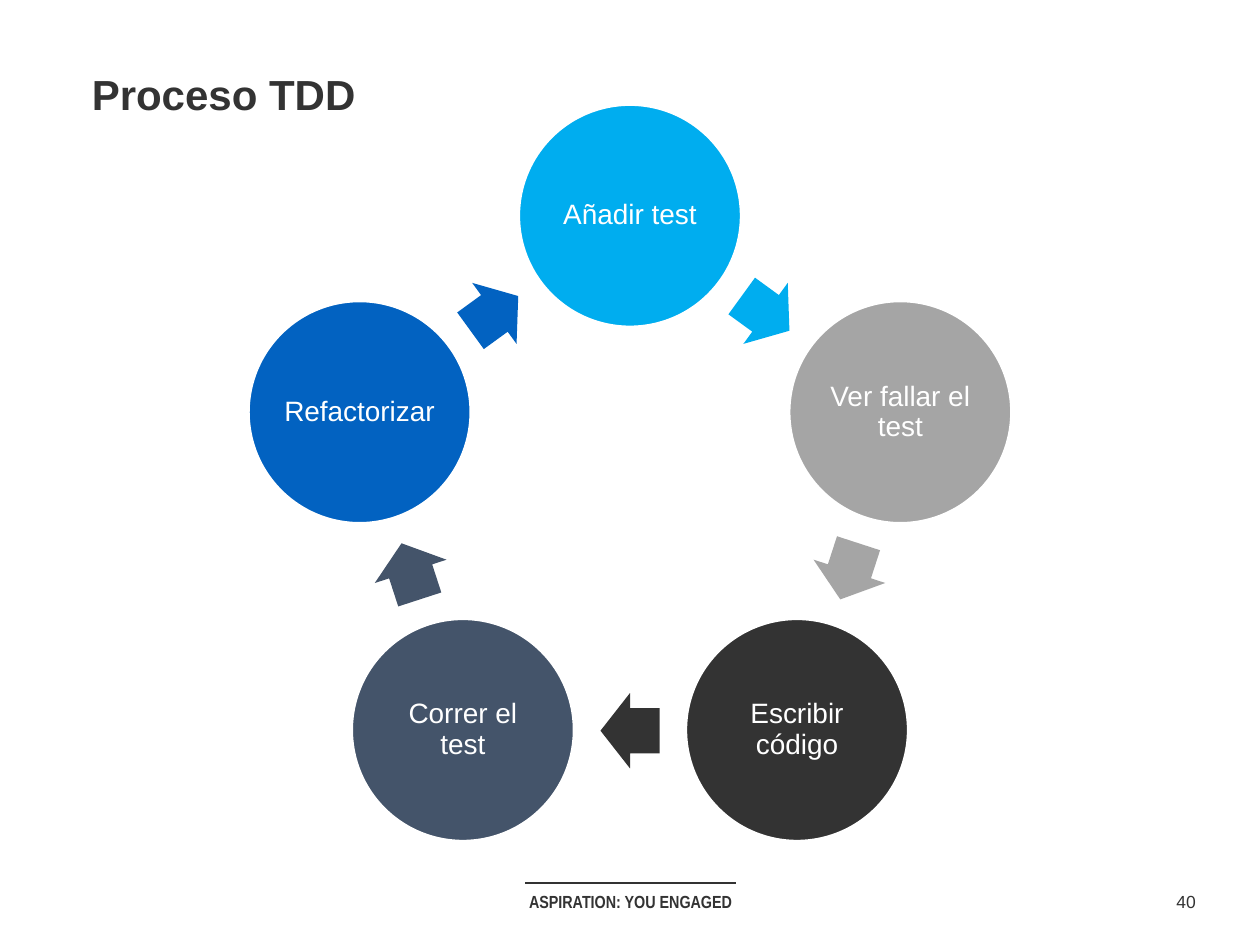
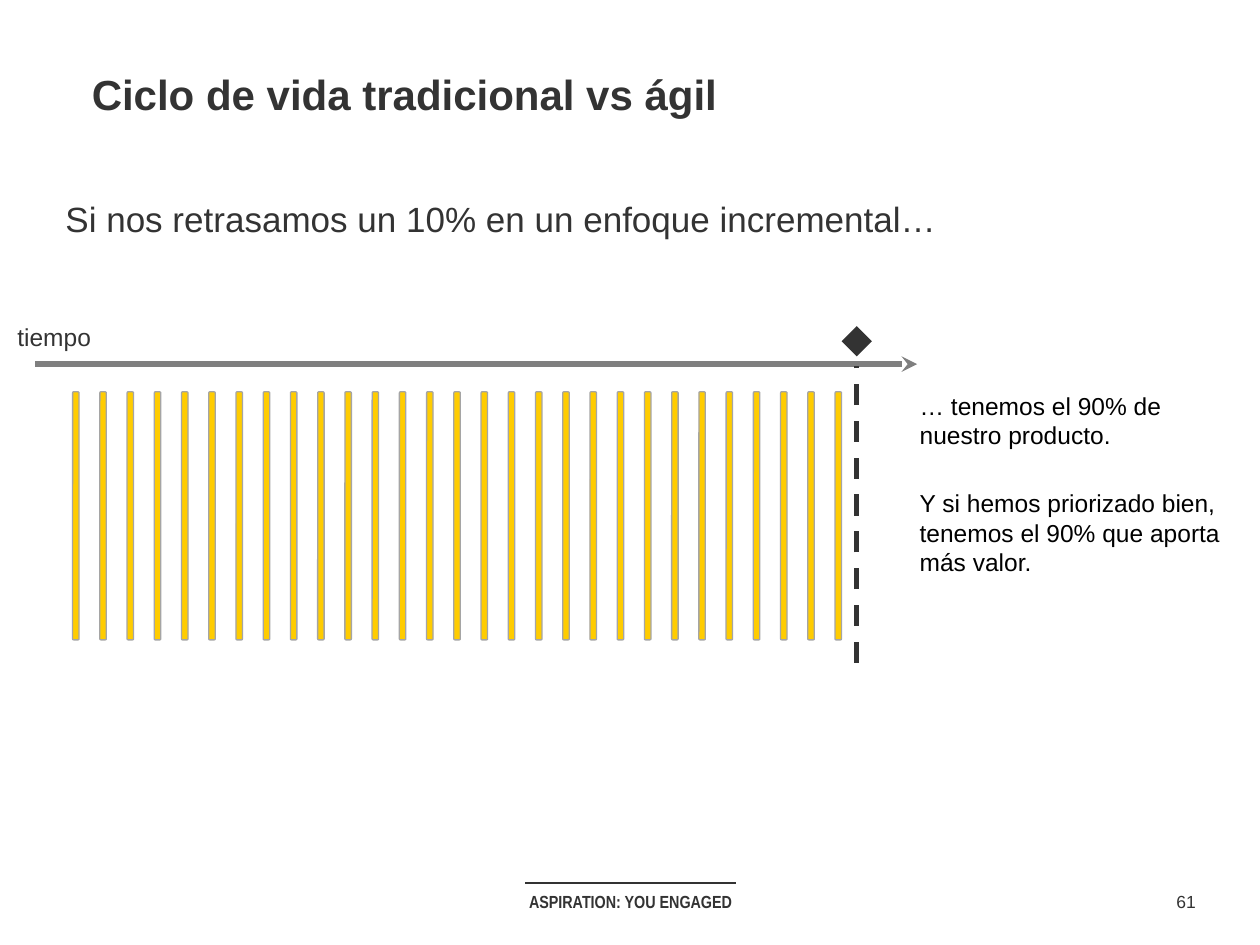
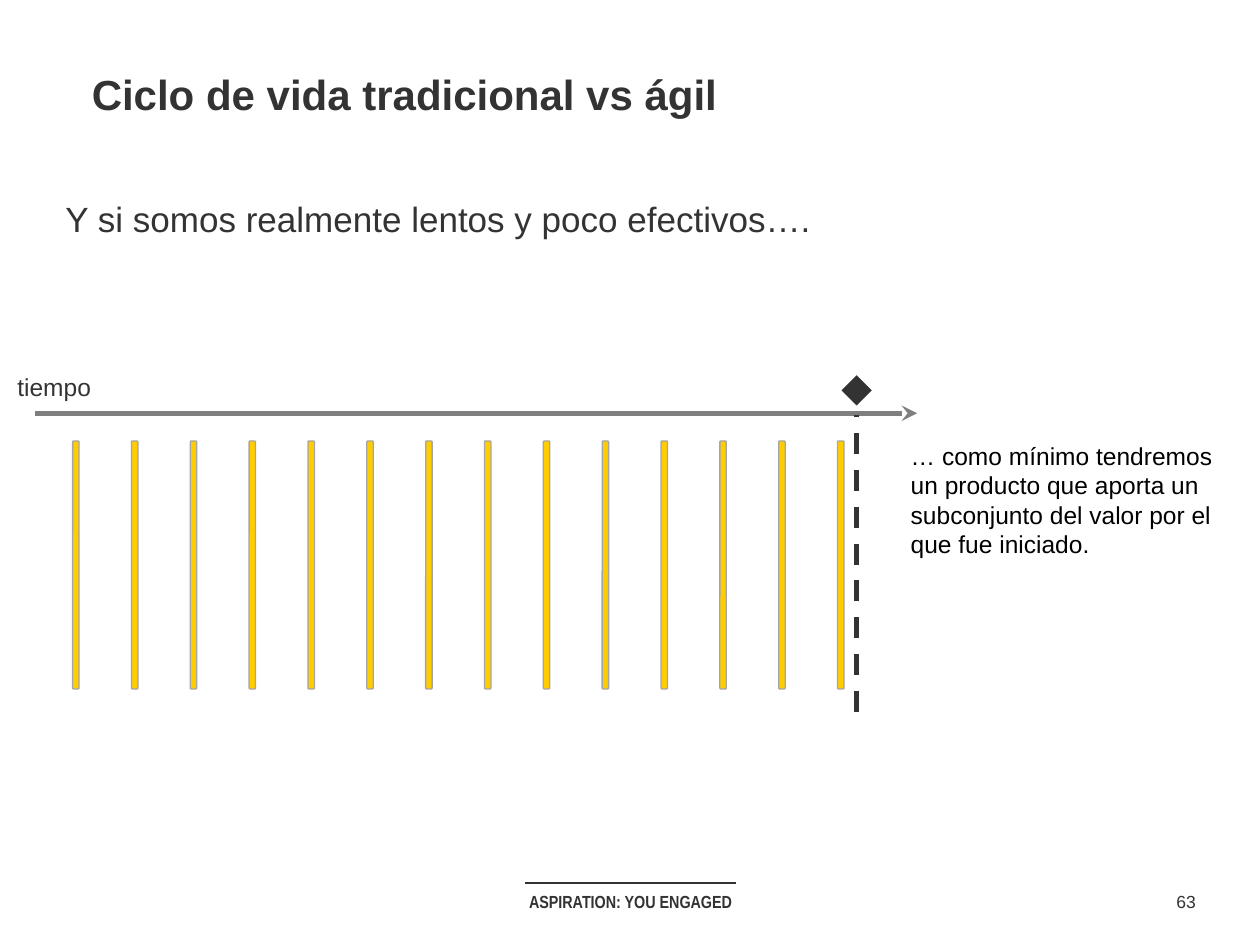
from math import cos, radians, sin

from pptx import Presentation
from pptx.dml.color import RGBColor
from pptx.enum.dml import MSO_LINE
from pptx.enum.shapes import MSO_CONNECTOR, MSO_SHAPE
from pptx.enum.text import MSO_ANCHOR, MSO_AUTO_SIZE, PP_ALIGN
from pptx.oxml.ns import qn
from pptx.util import Cm, Pt
from lxml.etree import SubElement

BLACK = RGBColor(0x00, 0x00, 0x00)
WHITE = RGBColor(0xFF, 0xFF, 0xFF)
CHARCOAL = RGBColor(0x33, 0x33, 0x33)
AXIS_GRAY = RGBColor(0x7F, 0x7F, 0x7F)
LIGHT_GRAY = RGBColor(0xA5, 0xA5, 0xA5)
SLATE = RGBColor(0x44, 0x54, 0x6A)
BLUE = RGBColor(0x02, 0x62, 0xC1)
SKY = RGBColor(0x00, 0xAD, 0xEF)
YELLOW = RGBColor(0xFF, 0xCC, 0x00)

FOOTER = "ASPIRATION: YOU ENGAGED"
TDD_STEPS = [
    ("Añadir test", SKY),
    ("Ver fallar el test", LIGHT_GRAY),
    ("Escribir código", CHARCOAL),
    ("Correr el test", SLATE),
    ("Refactorizar", BLUE),
]
LIFE_CYCLE_TITLE = "Ciclo de vida tradicional vs ágil"
TIMELINES = [
    {
        "page": 61,
        "lead": "Si nos retrasamos un 10% en un enfoque incremental…",
        "axis_y": 7.34,
        "increments": 29,
        "last_x": 16.9,
        "notes": [
            "… tenemos el 90% de nuestro producto.",
            "Y si hemos priorizado bien, tenemos el 90% que aporta más valor.",
        ],
        "notes_box": (18.29, 7.75, 7.11, 7.49),
    },
    {
        "page": 63,
        "lead": "Y si somos realmente lentos y poco efectivos….",
        "axis_y": 8.33,
        "increments": 14,
        "last_x": 16.95,
        "notes": [
            "… como mínimo tendremos un producto que aporta un "
            "subconjunto del valor por el que fue iniciado.",
        ],
        "notes_box": (18.11, 8.76, 7.11, 5.64),
    },
]

RING_X, RING_Y = 12.7, 10.08
STEP_RADIUS, STEP_SIZE = 5.73, 4.5
ARROW_RADIUS, ARROW_LENGTH, ARROW_WIDTH = 4.65, 1.19, 1.52
FIRST_X, INCREMENT_WIDTH, INCREMENT_HEIGHT = 1.53, 0.13, 5.0
DEADLINE_X, DIAMOND_SIZE = 17.27, 0.61


def set_insets(frame, horizontal, vertical):
    frame.margin_left = frame.margin_right = Cm(horizontal)
    frame.margin_top = frame.margin_bottom = Cm(vertical)


def format_text(frame, size, color, align=PP_ALIGN.LEFT, bold=False, font="Arial"):
    for paragraph in frame.paragraphs:
        paragraph.alignment = align
        for run in paragraph.runs:
            run.font.name = font
            run.font.size = Pt(size)
            run.font.bold = bold
            run.font.color.rgb = color


def add_text(slide, text, box, size, color=CHARCOAL, **style):
    frame = slide.shapes.add_textbox(*map(Cm, box)).text_frame
    frame.word_wrap = True
    set_insets(frame, 0.25, 0.13)
    frame.text = text
    format_text(frame, size, color, **style)
    return frame


def add_line(slide, start, end, color, width):
    connector = slide.shapes.add_connector(
        MSO_CONNECTOR.STRAIGHT, *map(Cm, (*start, *end)))
    connector.line.color.rgb = color
    connector.line.width = Pt(width)
    SubElement(connector._element.spPr, qn("a:effectLst"))
    return connector


def add_centered(slide, kind, center_x, center_y, width, height, fill):
    """Add a filled, unlined shape around its centre point."""
    shape = slide.shapes.add_shape(
        kind, Cm(center_x - width / 2), Cm(center_y - height / 2),
        Cm(width), Cm(height))
    shape.shadow.inherit = False
    shape.fill.solid()
    shape.fill.fore_color.rgb = fill
    shape.line.fill.background()
    return shape


def set_outline(shape, color, width):
    shape.line.color.rgb = color
    shape.line.width = Pt(width)


def add_slide(deck, title, page):
    """Add a slide with the shared title, footer and page number."""
    slide = deck.slides.add_slide(deck.slide_layouts[5])
    heading = slide.shapes.title
    heading.left, heading.top = Cm(1.6), Cm(1.14)
    heading.width, heading.height = Cm(22.23), Cm(1.55)
    frame = heading.text_frame
    frame.text = title
    frame.auto_size = MSO_AUTO_SIZE.NONE
    frame.vertical_anchor = MSO_ANCHOR.TOP
    set_insets(frame, 0.25, 0.25)
    format_text(frame, 24, CHARCOAL, bold=True)

    add_text(slide, FOOTER, (9.32, 17.83, 6.78, 0.69), 10,
             align=PP_ALIGN.CENTER, bold=True, font="Arial Narrow")
    add_line(slide, (10.59, 17.8), (14.83, 17.8), CHARCOAL, 0.75)
    add_text(slide, str(page), (23.44, 17.83, 0.94, 0.69), 10,
             align=PP_ALIGN.CENTER)
    return slide


def ring_point(angle, radius):
    """Return the point at a clockwise angle from the top of the ring."""
    turn = radians(angle)
    return RING_X + radius * sin(turn), RING_Y - radius * cos(turn)


def build_tdd_cycle(deck):
    slide = add_slide(deck, "Proceso TDD", 40)
    sector = 360 / len(TDD_STEPS)
    for index, (step, color) in enumerate(TDD_STEPS):
        angle = index * sector
        circle = add_centered(slide, MSO_SHAPE.OVAL,
                              *ring_point(angle, STEP_RADIUS),
                              STEP_SIZE, STEP_SIZE, color)
        set_outline(circle, WHITE, 2)
        frame = circle.text_frame
        frame.text = step
        frame.word_wrap = True
        frame.vertical_anchor = MSO_ANCHOR.MIDDLE
        set_insets(frame, 0.05, 0.05)
        format_text(frame, 16, WHITE, align=PP_ALIGN.CENTER)
        frame.paragraphs[0].line_spacing = 0.9

        arrow_angle = angle + sector / 2
        arrow = add_centered(slide, MSO_SHAPE.RIGHT_ARROW,
                             *ring_point(arrow_angle, ARROW_RADIUS),
                             ARROW_LENGTH, ARROW_WIDTH, color)
        arrow.adjustments[0] = 0.6
        arrow.rotation = arrow_angle


def build_timeline(deck, timeline):
    slide = add_slide(deck, LIFE_CYCLE_TITLE, timeline["page"])
    add_text(slide, timeline["lead"], (1.07, 3.86, 23.65, 1.12), 20)

    axis_y = timeline["axis_y"]
    pitch = (timeline["last_x"] - FIRST_X) / (timeline["increments"] - 1)
    for index in range(timeline["increments"]):
        increment = add_centered(slide, MSO_SHAPE.ROUNDED_RECTANGLE,
                                 FIRST_X + index * pitch, axis_y + 3.06,
                                 INCREMENT_WIDTH, INCREMENT_HEIGHT, YELLOW)
        set_outline(increment, LIGHT_GRAY, 0.75)

    axis = add_line(slide, (0.71, axis_y), (18.49, axis_y), AXIS_GRAY, 3)
    SubElement(axis.line._get_or_add_ln(), qn("a:tailEnd"), type="stealth")
    add_text(slide, "tiempo", (0.1, axis_y - 0.97, 2.01, 0.86), 14)

    notes = add_text(slide, "\n".join(timeline["notes"]),
                     timeline["notes_box"], 14, BLACK)
    for paragraph in notes.paragraphs[1:]:
        paragraph.space_before = Pt(22)

    add_centered(slide, MSO_SHAPE.DIAMOND, DEADLINE_X, axis_y - 0.46,
                 DIAMOND_SIZE, DIAMOND_SIZE, CHARCOAL)
    deadline = add_line(slide, (DEADLINE_X, axis_y + 6.02),
                        (DEADLINE_X, axis_y + 0.03), CHARCOAL, 3)
    deadline.line.dash_style = MSO_LINE.DASH


def main():
    deck = Presentation()
    deck.slide_width, deck.slide_height = Cm(25.4), Cm(19.05)
    build_tdd_cycle(deck)
    for timeline in TIMELINES:
        build_timeline(deck, timeline)
    deck.save("out.pptx")


if __name__ == "__main__":
    main()
